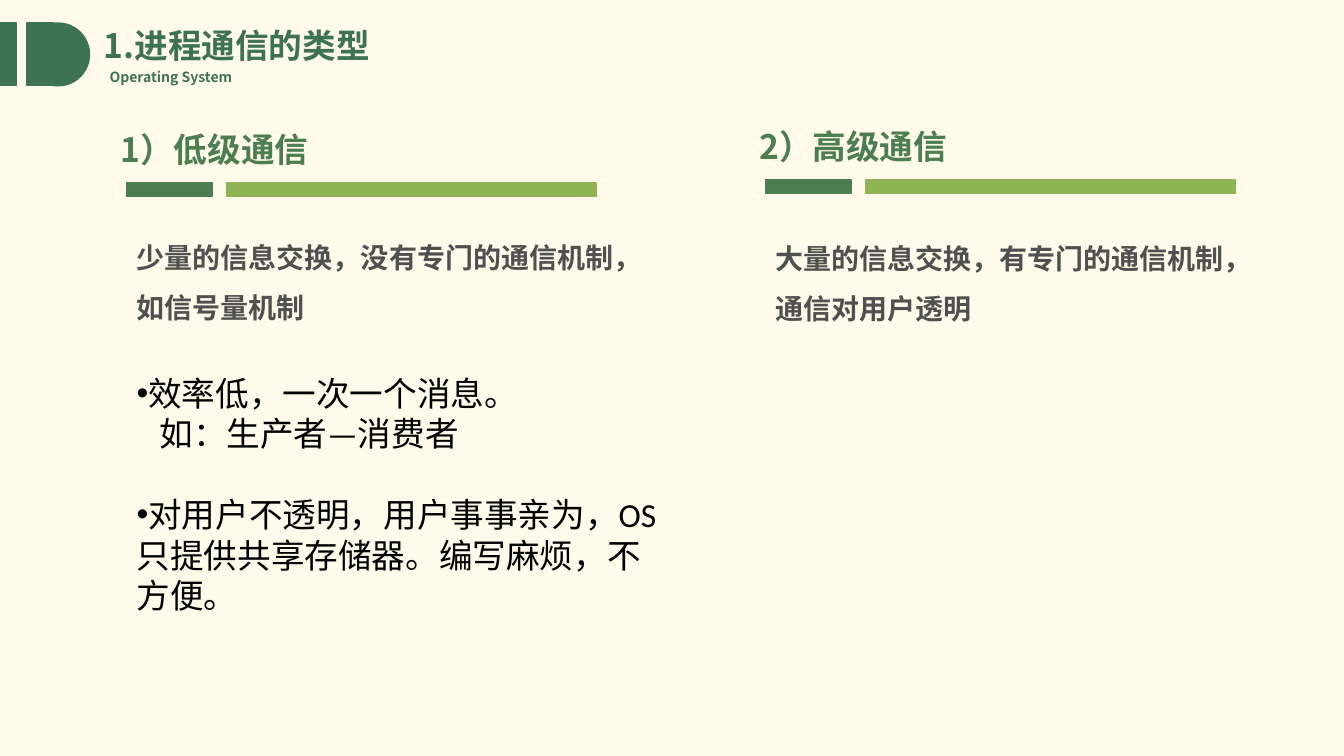
from dataclasses import dataclass

from lxml import etree
from pptx import Presentation
from pptx.dml.color import RGBColor
from pptx.enum import shapes, text
from pptx.oxml import ns
from pptx.util import Pt


@dataclass(frozen=True)
class Theme:
    background: str = "FFFAEA"
    brand: str = "3D7351"
    heading: str = "4C7E51"
    accent: str = "8EB453"
    summary: str = "505050"
    body: str = "000000"
    bold_face: str = "Noto Sans CJK SC"
    body_face: str = "Calibri"
    large: int = 24
    medium: int = 20
    small: int = 10


THEME = Theme()
RECT = shapes.MSO_SHAPE.RECTANGLE
OVAL = shapes.MSO_SHAPE.OVAL


def add_block(slide, preset, left, top, width, height, color):
    block = slide.shapes.add_shape(preset, Pt(left), Pt(top), Pt(width), Pt(height))
    block.shadow.inherit = False
    block.fill.solid()
    block.fill.fore_color.rgb = RGBColor.from_string(color)
    block.line.color.rgb = RGBColor.from_string(color)
    block.line.width = Pt(1)


def add_text_frame(slide, left, top, width, height, wrap=True):
    box = slide.shapes.add_textbox(Pt(left), Pt(top), Pt(width), Pt(height))
    box.text_frame.word_wrap = wrap
    box.text_frame.auto_size = text.MSO_AUTO_SIZE.SHAPE_TO_FIT_TEXT
    return box.text_frame


def style(paragraph, size, color, face=THEME.bold_face, bold=True):
    font = paragraph.font
    font.size = Pt(size)
    font.bold = bold
    font.color.rgb = RGBColor.from_string(color)
    font.name = face
    # East Asian characters need the typeface named separately
    defaults = paragraph._p.pPr.find(ns.qn("a:defRPr"))
    etree.SubElement(defaults, ns.qn("a:ea")).set("typeface", face)


def add_label(slide, words, left, top, width, height, size, color,
              spacing=None, wrap=True):
    frame = add_text_frame(slide, left, top, width, height, wrap)
    paragraph = frame.paragraphs[0]
    paragraph.text = words
    paragraph.line_spacing = spacing
    style(paragraph, size, color)
    return frame


def add_points(slide, points, left, top, width, height):
    """Each point is (words, has bullet, left margin, space before)."""
    frame = add_text_frame(slide, left, top, width, height)
    for index, (words, bulleted, margin, before) in enumerate(points):
        paragraph = frame.add_paragraph() if index else frame.paragraphs[0]
        paragraph.text = words
        paragraph.space_before = Pt(before)
        properties = paragraph._p.get_or_add_pPr()
        properties.set("marL", str(Pt(margin)))
        properties.set("indent", "0")
        if bulleted:
            etree.SubElement(properties, ns.qn("a:buFont")).set("typeface", "Arial")
            etree.SubElement(properties, ns.qn("a:buChar")).set("char", "•")
        style(paragraph, THEME.large, THEME.body, THEME.body_face, bold=False)


def add_banner(slide):
    top, height = 16.5, 44.8
    add_block(slide, RECT, 0, top, 12, height, THEME.brand)
    add_block(slide, RECT, 19.2, top, 19.5, height, THEME.brand)
    add_block(slide, OVAL, 19.2, top, height, height, THEME.brand)
    add_label(slide, "Operating System", 71.2, 45.3, 106, 19.4,
              THEME.small, THEME.brand, wrap=False)
    title = add_label(slide, "1.进程通信的类型", 67, 15.8, 312.5, 36,
                      THEME.large, THEME.brand, spacing=0.9)
    title.auto_size = text.MSO_AUTO_SIZE.NONE
    title.vertical_anchor = text.MSO_ANCHOR.MIDDLE


def add_column(slide, heading, summary, left, bar_top, summary_top):
    add_block(slide, RECT, left, bar_top, 61.2, 10.2, THEME.heading)
    add_block(slide, RECT, left + 71.5, bar_top, 264.3, 10.2, THEME.accent)
    add_label(slide, heading, left - 11.5, bar_top - 41.8, 232, 36.3,
              THEME.large, THEME.heading)
    add_label(slide, summary, left, summary_top, 356.4, 75.6,
              THEME.medium, THEME.summary, spacing=1.5)


def main():
    deck = Presentation()
    deck.slide_width, deck.slide_height = Pt(960), Pt(540)
    slide = deck.slides.add_slide(deck.slide_layouts[6])
    slide.background.fill.solid()
    slide.background.fill.fore_color.rgb = RGBColor.from_string(THEME.background)

    # Banner
    add_banner(slide)

    # The two kinds of communication
    low_left, high_left = 90.5, 546.7
    add_column(slide, "1）低级通信", "少量的信息交换，没有专门的通信机制，如信号量机制",
               low_left, 130.4, 156.2)
    add_column(slide, "2）高级通信", "大量的信息交换，有专门的通信机制，通信对用户透明",
               high_left, 128.2, 156.9)

    # Drawbacks of low-level communication
    add_points(slide, [
        ("效率低，一次一个消息。", True, 0, 0),
        ("如：生产者—消费者", False, 16.3, 0),
        ("对用户不透明，用户事事亲为，OS只提供共享存储器。编写麻烦，不方便。", True, 0, 29),
    ], low_left, 262.8, 389.5, 211)

    deck.save("out.pptx")


if __name__ == "__main__":
    main()
